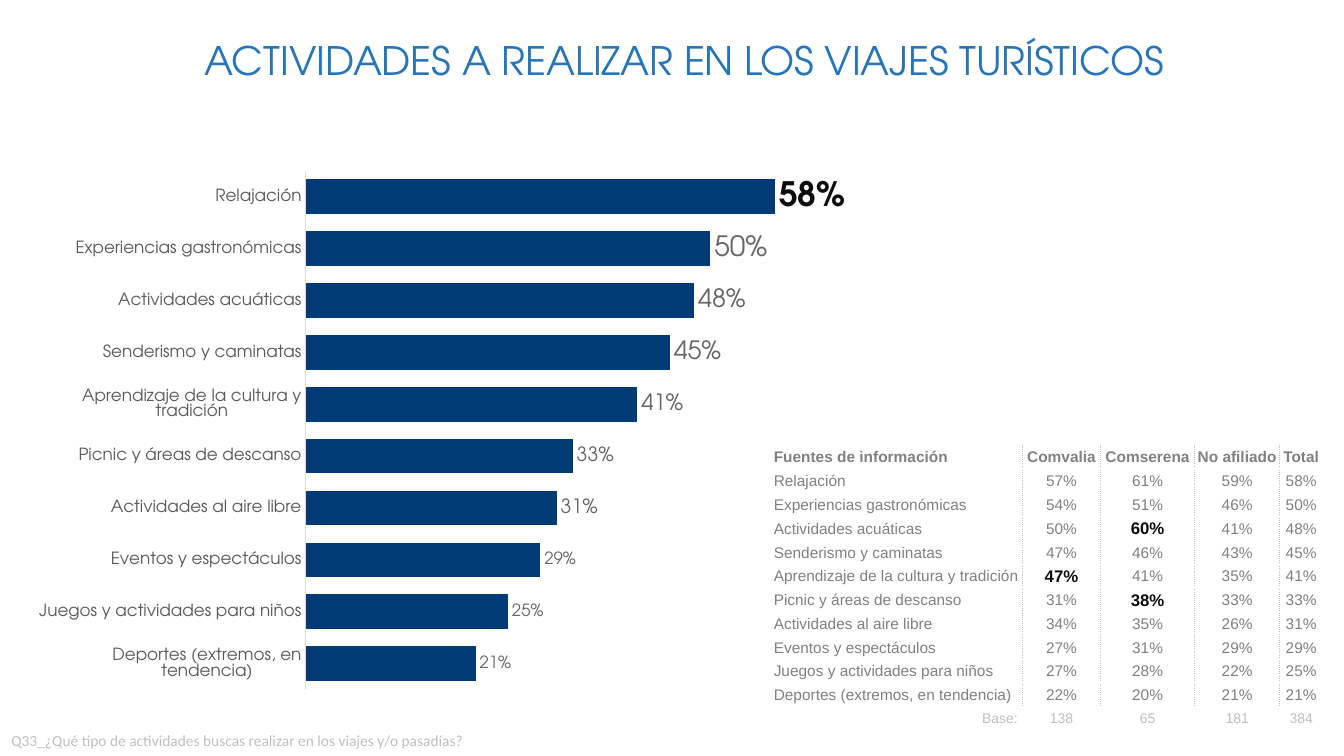
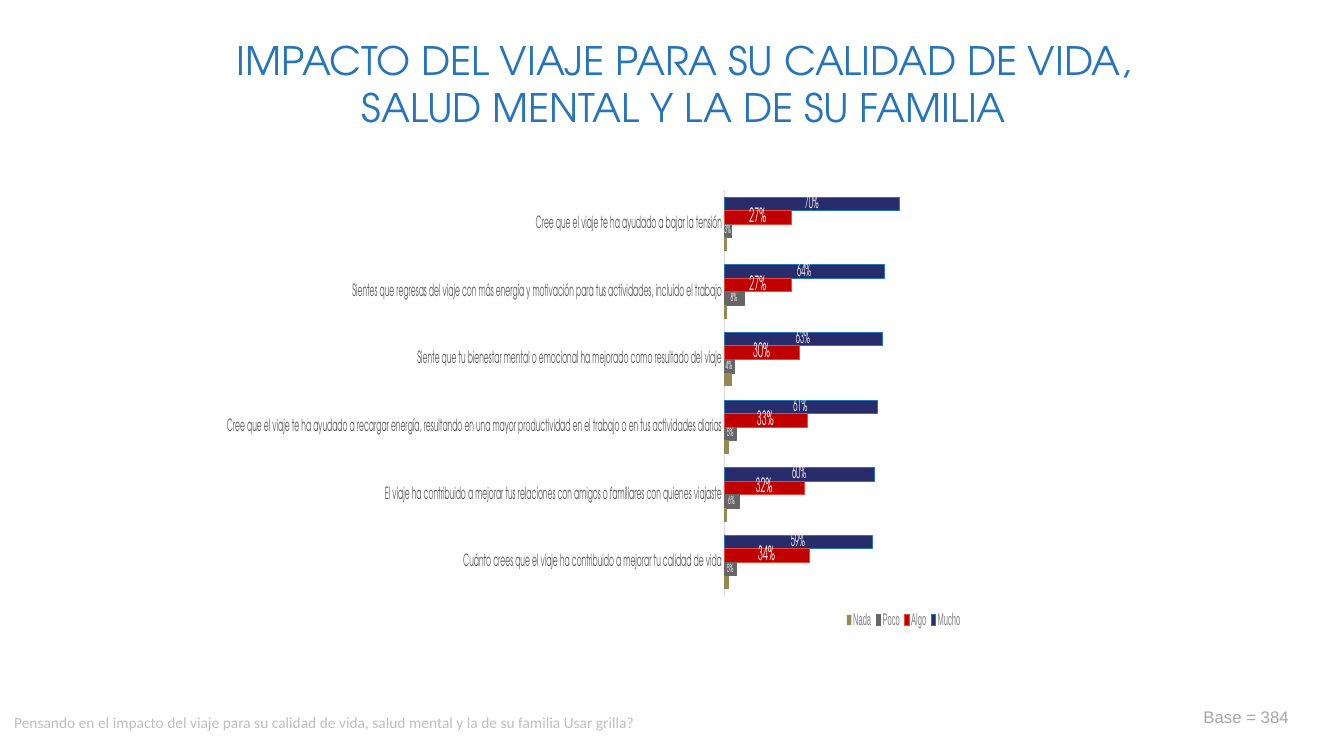
from lxml.etree import SubElement
from pptx import Presentation
from pptx.chart.data import CategoryChartData
from pptx.dml.color import RGBColor
from pptx.enum.chart import (XL_CHART_TYPE, XL_LABEL_POSITION, XL_LEGEND_POSITION,
                             XL_TICK_LABEL_POSITION, XL_TICK_MARK)
from pptx.enum.text import MSO_ANCHOR, MSO_AUTO_SIZE, PP_ALIGN
from pptx.oxml import parse_xml
from pptx.oxml.ns import nsdecls, qn
from pptx.util import Pt

# Shared look
TITLE_FONT, TABLE_FONT, NOTE_FONT = "TeX Gyre Adventor", "Arial", "Calibri"
TITLE_BLUE, BAR_BLUE, NAVY = "2674BB", "003B75", "282C6A"
RED, LIGHT_RED, OLIVE, WHITE = "C00000", "EE4639", "948A54", "FFFFFF"
BLACK, NEAR_BLACK, AXIS_TEXT, DARK_GRAY = "000000", "0D0D0D", "595959", "666666"
GRAY, BASE_GRAY, LIGHT_GRAY, AXIS_LINE = "808080", "A6A6A6", "BFBFBF", "D9D9D9"
hex_color = RGBColor.from_string


def style(font, size, color, name, bold=False):
    font.size, font.name, font.bold = Pt(size), name, bold
    font.color.rgb = hex_color(color)


def write(frame, text, size=11, color=LIGHT_GRAY, name=NOTE_FONT, bold=False,
          align=PP_ALIGN.LEFT, spacing=None, before=0, margins=None,
          anchor=MSO_ANCHOR.TOP, wrap=True):
    frame.word_wrap = wrap
    frame.vertical_anchor = anchor
    if margins:
        (frame.margin_left, frame.margin_top,
         frame.margin_right, frame.margin_bottom) = map(Pt, margins)
    para = frame.paragraphs[0]
    para.alignment = align
    para.space_before = Pt(before)
    span = para.add_run()
    span.text = text
    style(span.font, size, color, name, bold)
    if spacing:
        span.font._element.set("spc", str(spacing))


# Slide content
pages = [
    dict(
        title="ACTIVIDADES A REALIZAR EN LOS VIAJES TURÍSTICOS",
        note="Q33_¿Qué tipo de actividades buscas realizar en los viajes y/o pasadías?",
        note_box=(1, 519, 480, 21),
        chart_box=(28, 106.5, 613.5, 390),
        plot=dict(x=0.31, y=0.04, w=0.66, h=0.95),
        gap=50, maximum=0.7, reverse=False, legend=None,
        categories=["Deportes (extremos, en tendencia)", "Juegos y actividades para niños",
                    "Eventos y espectáculos", "Actividades al aire libre",
                    "Picnic y áreas de descanso", "Aprendizaje de la cultura y tradición",
                    "Senderismo y caminatas", "Actividades acuáticas",
                    "Experiencias gastronómicas", "Relajación"],
        # name, values, fill, line, label size, label color, label position
        series=[("Series 1", [0.21, 0.25, 0.29, 0.31, 0.33, 0.41, 0.45, 0.48, 0.5, 0.58],
                 BAR_BLUE, None, 18, DARK_GRAY, XL_LABEL_POSITION.OUTSIDE_END)],
        point_sizes=[12, 12, 12, 14, 14, 16, 18, 18, 20, 24],
    ),
    dict(
        title="IMPACTO DEL VIAJE PARA SU CALIDAD DE VIDA, SALUD MENTAL Y LA DE SU FAMILIA",
        note="Pensando en el impacto del viaje para su calidad de vida, salud mental "
             "y la de su familia Usar grilla?",
        note_box=(3, 506, 832, 34),
        chart_box=(162, 112, 636, 341),
        plot=dict(x=0.02, y=0.07, w=0.5, h=0.85),
        gap=100, maximum=0.8, reverse=True, legend=dict(x=0.32, y=0.95),
        categories=["Cree que el viaje te ha ayudado a bajar la tensión",
                    "Sientes que regresas del viaje con más energía y motivación "
                    "para tus actividades, incluido el trabajo",
                    "Siente que tu bienestar mental o emocional ha mejorado "
                    "como resultado del viaje",
                    "Cree que el viaje te ha ayudado a recargar energía, resultando en una "
                    "mayor productividad en el trabajo o en tus actividades diarias",
                    "El viaje ha contribuido a mejorar tus relaciones con amigos "
                    "o familiares con quienes viajaste",
                    "Cuánto crees que el viaje ha contribuido a mejorar tu calidad de vida"],
        series=[("Mucho", [0.7, 0.64, 0.63, 0.61, 0.6, 0.59],
                 NAVY, TITLE_BLUE, 12, WHITE, XL_LABEL_POSITION.CENTER),
                ("Algo", [0.27, 0.27, 0.3, 0.33, 0.32, 0.34],
                 RED, LIGHT_RED, 14, WHITE, XL_LABEL_POSITION.CENTER),
                ("Poco", [0.03, 0.08, 0.04, 0.05, 0.06, 0.05],
                 DARK_GRAY, DARK_GRAY, 8, WHITE, XL_LABEL_POSITION.CENTER),
                ("Nada", [0.01, 0.01, 0.03, 0.02, 0.01, 0.02],
                 OLIVE, None, None, None, None)],
        point_sizes=[],
    ),
]

deck = Presentation()
deck.slide_width, deck.slide_height = Pt(960), Pt(540)

for content in pages:
    page = deck.slides.add_slide(deck.slide_layouts[5])

    # Title and question
    title = page.shapes.title
    title.left, title.top, title.width, title.height = map(Pt, (124.5, 25, 728, 69))
    title.text_frame.auto_size = MSO_AUTO_SIZE.NONE
    write(title.text_frame, content["title"], size=28, color=TITLE_BLUE, name=TITLE_FONT,
          align=PP_ALIGN.CENTER, spacing=-5, before=1, margins=(0, 1, 0, 0))
    note = page.shapes.add_textbox(*map(Pt, content["note_box"]))
    write(note.text_frame, content["note"])

    # Bar chart
    data = CategoryChartData(number_format="0%")
    data.categories = content["categories"]
    for name, values, *_ in content["series"]:
        data.add_series(name, values)
    chart = page.shapes.add_chart(XL_CHART_TYPE.BAR_CLUSTERED,
                                  *map(Pt, content["chart_box"]), data).chart
    chart.has_title = False
    chart.has_legend = bool(content["legend"])
    style(chart.font, 10, BLACK, NOTE_FONT)
    plot = chart.plots[0]
    plot.gap_width = content["gap"]
    plot.vary_by_categories = False

    # Axes
    category_axis, value_axis = chart.category_axis, chart.value_axis
    for axis, font_name in ((category_axis, TITLE_FONT), (value_axis, NOTE_FONT)):
        axis.has_major_gridlines = False
        axis.major_tick_mark = axis.minor_tick_mark = XL_TICK_MARK.NONE
        style(axis.tick_labels.font, 12, AXIS_TEXT, font_name)
    category_axis.reverse_order = content["reverse"]
    category_axis.format.line.color.rgb = hex_color(AXIS_LINE)
    category_axis.format.line.width = Pt(0.75)
    value_axis.minimum_scale, value_axis.maximum_scale = 0, content["maximum"]
    value_axis.tick_label_position = XL_TICK_LABEL_POSITION.NONE
    value_axis.format.line.fill.background()

    # Series and their labels
    for series, (_, _, fill, line, size, color, position) in zip(plot.series, content["series"]):
        series.invert_if_negative = False
        series.format.fill.solid()
        series.format.fill.fore_color.rgb = hex_color(fill)
        if line:
            series.format.line.color.rgb = hex_color(line)
            series.format.line.width = Pt(0.75)
        if size:
            labels = series.data_labels
            labels.show_value = True
            labels.number_format, labels.number_format_is_linked = "0%", False
            labels.position = position
            style(labels.font, size, color, TITLE_FONT)
    last = len(content["point_sizes"]) - 1
    for index, size in enumerate(content["point_sizes"]):
        label = plot.series[0].points[index].data_label
        style(label.font, size, NEAR_BLACK if index == last else DARK_GRAY,
              TITLE_FONT, bold=index == last)
        label.position = XL_LABEL_POSITION.OUTSIDE_END

    # Fixed places of plot and legend
    places = [(chart._chartSpace.chart.plotArea, 0, content["plot"])]
    if content["legend"]:
        chart.legend.position = XL_LEGEND_POSITION.BOTTOM
        chart.legend.include_in_layout = False
        style(chart.legend.font, 12, GRAY, TABLE_FONT)
        places.append((chart.legend._element, 1, content["legend"]))
    for parent, index, place in places:
        for old in parent.findall(qn("c:layout")):
            parent.remove(old)
        layout = parse_xml(f"<c:layout {nsdecls('c')}><c:manualLayout/></c:layout>")
        settings = {"xMode": "edge", "yMode": "edge", **place}
        if "w" in place:
            settings = {"layoutTarget": "inner", **settings}
        for key, value in settings.items():
            SubElement(layout[0], qn(f"c:{key}")).set("val", str(value))
        parent.insert(index, layout)

# Table by affiliation on the first slide
headers = ["Fuentes de información", "Comvalia", "Comserena", "No afiliado", "Total"]
shares = [(57, 61, 59, 58), (54, 51, 46, 50), (50, 60, 41, 48), (47, 46, 43, 45),
          (47, 41, 35, 41), (31, 38, 33, 33), (34, 35, 26, 31), (27, 31, 29, 29),
          (27, 28, 22, 25), (22, 20, 21, 21)]
rows = [headers]
for activity, values in zip(reversed(pages[0]["categories"]), shares):
    rows.append([activity] + [f"{value}%" for value in values])
rows.append(["Base:", "138", "65", "181", "384"])
highlights = {(3, 2), (5, 1), (6, 2)}
last_row, last_column = len(rows) - 1, len(headers) - 1

table = deck.slides[0].shapes.add_table(len(rows), len(headers), Pt(552), Pt(318),
                                        Pt(393), Pt(17 * len(rows))).table
table.first_row = table.horz_banding = False
for column, width in zip(table.columns, (178.5, 55.5, 67.5, 60.5, 31)):
    column.width = Pt(width)
for row_index, texts in enumerate(rows):
    table.rows[row_index].height = Pt(17)
    for column_index, text in enumerate(texts):
        cell = table.cell(row_index, column_index)
        cell.fill.background()
        cell.vertical_anchor = MSO_ANCHOR.MIDDLE
        cell.margin_left = cell.margin_top = cell.margin_right = Pt(0.72)
        cell.margin_bottom = 0
        highlight = (row_index, column_index) in highlights
        size, color, align = 11, GRAY, PP_ALIGN.CENTER
        if highlight:
            size, color = 12, NEAR_BLACK
        if row_index == last_row:
            size, color = 10, LIGHT_GRAY
        if column_index == 0:
            align = PP_ALIGN.LEFT
            if row_index == last_row:
                align = PP_ALIGN.RIGHT
                cell.margin_right = Pt(3.5)
        para = cell.text_frame.paragraphs[0]
        para.alignment = align
        span = para.add_run()
        span.text = text
        style(span.font, size, color, TABLE_FONT, bold=highlight or row_index == 0)

        # Dotted lines between columns, above the base row
        sides = [side for side, shown in (("lnL", column_index > 0),
                                          ("lnR", column_index < last_column)) if shown]
        if row_index < last_row:
            for index, side in enumerate(sides):
                cell._tc.get_or_add_tcPr().insert(index, parse_xml(
                    f'<a:{side} {nsdecls("a")} w="12700"><a:solidFill>'
                    f'<a:srgbClr val="{LIGHT_GRAY}"/></a:solidFill>'
                    f'<a:prstDash val="sysDot"/></a:{side}>'))

# Base of the second slide
base = deck.slides[1].shapes.add_textbox(Pt(852.5), Pt(501), Pt(76), Pt(22))
write(base.text_frame, "Base = 384", size=12, color=BASE_GRAY, name=TABLE_FONT, wrap=False)

deck.save("out.pptx")
